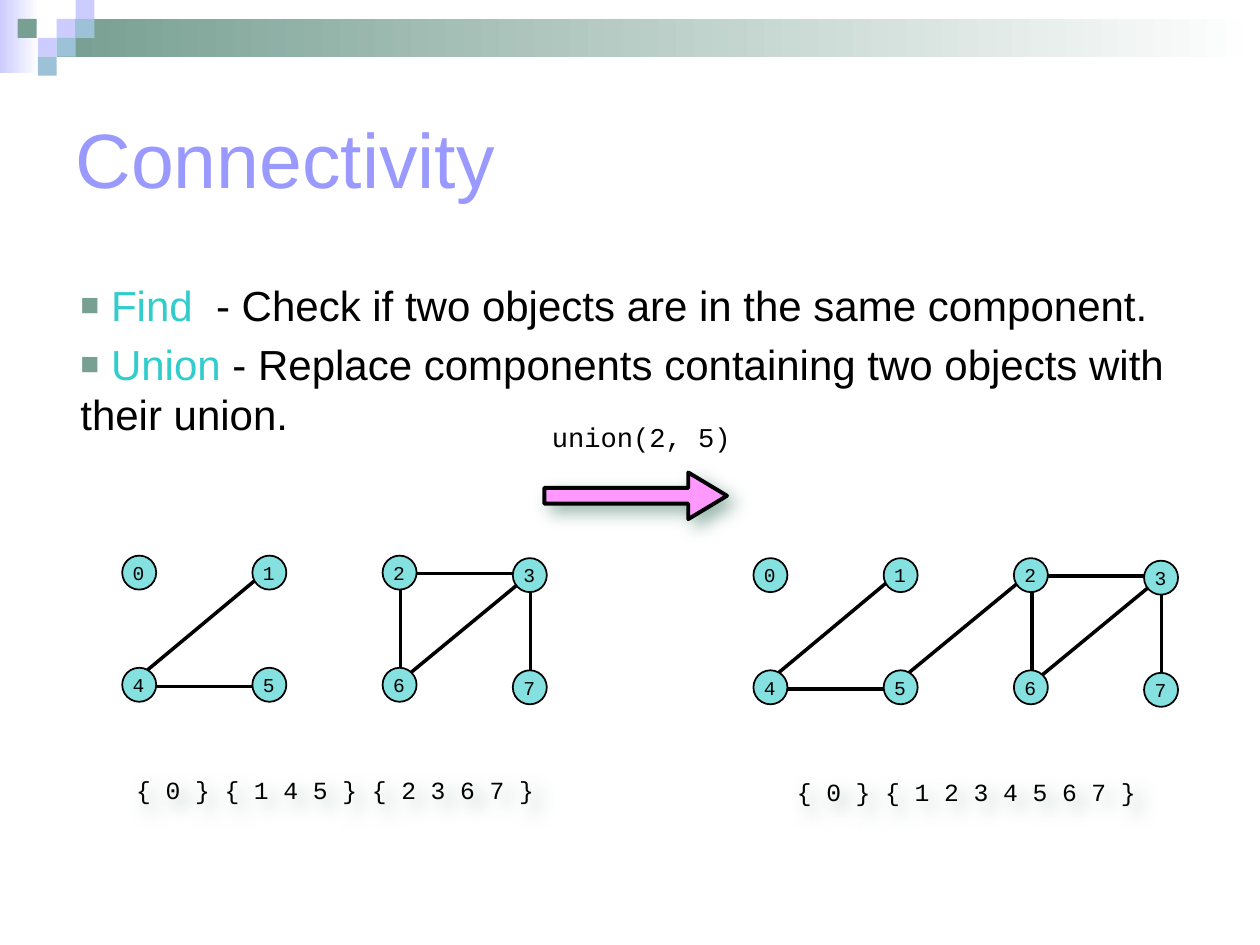
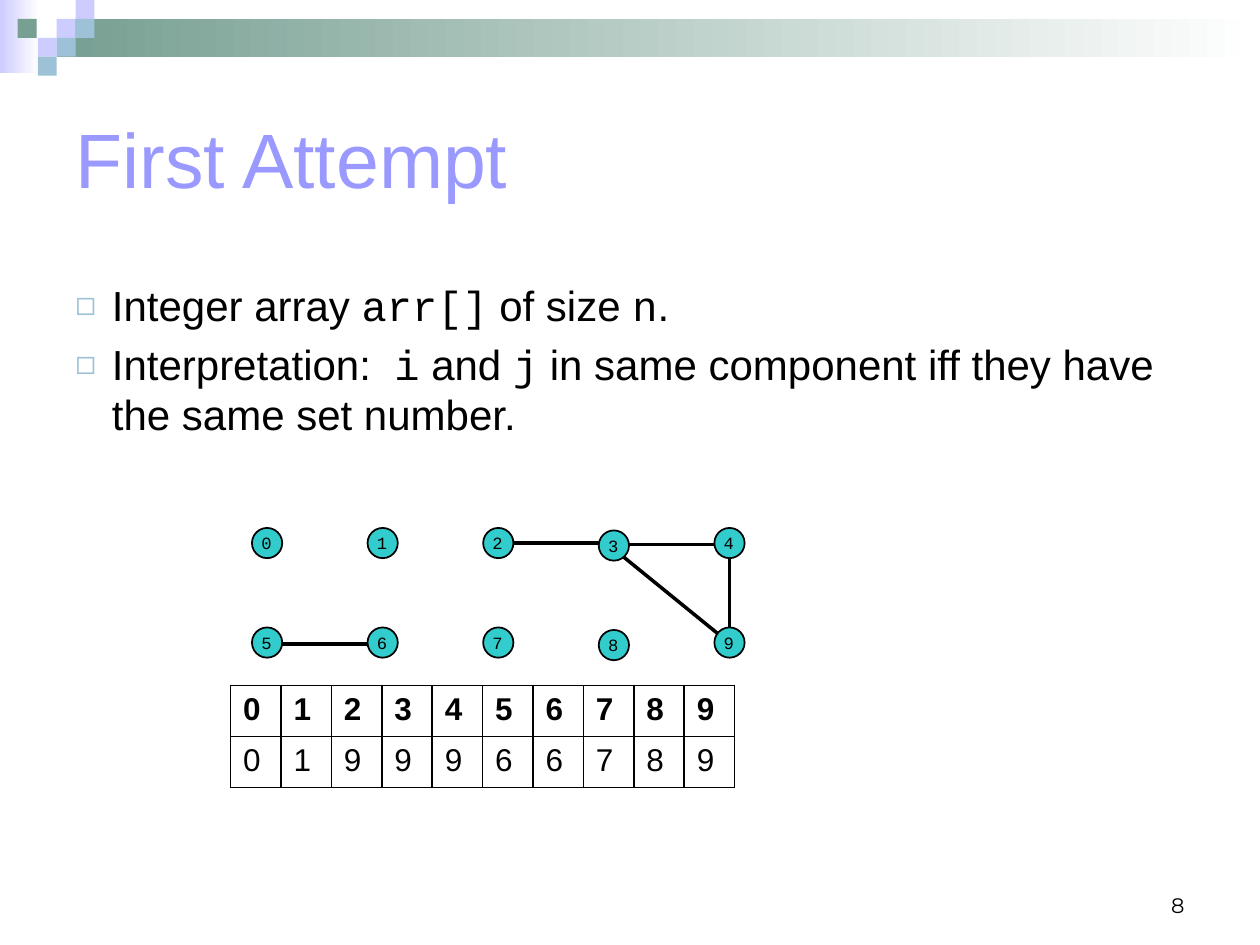
from dataclasses import dataclass
from typing import NamedTuple

from lxml.etree import SubElement
from pptx import Presentation
from pptx.dml.color import RGBColor
from pptx.enum.shapes import MSO_CONNECTOR, MSO_SHAPE
from pptx.enum.text import MSO_ANCHOR as Anchor, MSO_AUTO_SIZE, PP_ALIGN as Align
from pptx.oxml.ns import qn
from pptx.util import Inches, Pt

BLACK, WHITE = "000000", "FFFFFF"
LILAC, SAGE, SKY = "CCCCFF", "779F92", "9DC2D7"
TITLE_COLOR, TEAL, PALE_TEAL, PINK = "9999FF", "33CCCC", "85E0E0", "FF99FF"
SANS, MONO, NUMBER_FONT = "Arial", "Courier New", "Montserrat"


class Box(NamedTuple):
    left: float
    top: float
    width: float
    height: float


class Insets(NamedTuple):
    left: float = 0.1
    top: float = 0.05
    right: float = 0.1
    bottom: float = 0.05


class Piece(NamedTuple):
    text: str
    font: str = SANS
    color: str = BLACK


class Edge(NamedTuple):
    x1: float
    y1: float
    x2: float
    y2: float


@dataclass
class Bullet:
    char: str
    color: str
    percent: int
    margin: float
    indent: float


@dataclass
class Graph:
    left: float
    top: float
    columns: int
    span: float
    row_gap: float
    diameter: float
    fill: str
    text_size: float
    edges: list[Edge]


BAND = Box(0.45, 0.15, 9.55, 0.3)
CORNER = Box(0, 0, 0.31, 0.58)
SQUARES = [
    (0.45, 0.15, LILAC), (0.6, 0, LILAC), (0.6, 0.15, SKY),
    (0.3, 0.3, LILAC), (0.14, 0.15, SAGE), (0.45, 0.3, SKY), (0.3, 0.45, SKY),
]
TITLE_BOX = Box(0.5, 0.5, 9, 1.5)
BODY_BOX = Box(0.5, 2.17, 9, 4.25)
WIDE_INSETS = Insets(0.1, 0.05, 0.13, 0.05)
NO_INSETS = Insets(0, 0, 0.01, 0)
LOWERED_COLUMN, LOWERING = 3, 0.02

SEPARATE_EDGES = [
    Edge(3.24, 0.18, 3.24, 1.05), Edge(0.15, 0.95, 1.11, 0.15),
    Edge(3.1, 0.14, 2.15, 0.14), Edge(0.18, 1.04, 1.07, 1.04),
    Edge(2.21, 0.97, 2.21, 0.14), Edge(2.24, 0.97, 3.21, 0.17),
]
UNION_EDGE = Edge(1.22, 0.92, 2.18, 0.13)
SET_EDGES = [
    Edge(2.75, 0.12, 1.92, 0.12), Edge(0.16, 0.92, 0.95, 0.92),
    Edge(3.79, 0.86, 3.79, 0.12), Edge(3.72, 0.13, 2.88, 0.13),
    Edge(3.76, 0.89, 2.85, 0.15),
]


def rgb(value: str) -> RGBColor:
    return RGBColor.from_string(value)


def inches(box: Box) -> list:
    return [Inches(length) for length in box]


def format_run(run, size: float, font: str = SANS, color: str = BLACK, bold: bool = False) -> None:
    run.font.size = Pt(size)
    run.font.name = font
    run.font.color.rgb = rgb(color)
    run.font.bold = bold


def set_frame(frame, insets: Insets, anchor=Anchor.TOP, wrap: bool = True) -> None:
    frame.margin_left, frame.margin_top, frame.margin_right, frame.margin_bottom = (
        Inches(inset) for inset in insets)
    frame.vertical_anchor = anchor
    frame.word_wrap = wrap
    frame.auto_size = MSO_AUTO_SIZE.NONE


def add_solid(slide, preset, box: Box, fill: str, line_width: float = 0):
    shape = slide.shapes.add_shape(preset, *inches(box))
    shape.shadow.inherit = False
    shape.fill.solid()
    shape.fill.fore_color.rgb = rgb(fill)
    if line_width:
        shape.line.color.rgb = rgb(BLACK)
        shape.line.width = Pt(line_width)
    else:
        shape.line.fill.background()
    return shape


def add_fade(slide, box: Box, color: str) -> None:
    fade = add_solid(slide, MSO_SHAPE.RECTANGLE, box, color)
    fade.fill.gradient()
    fade.fill.gradient_angle = 0
    for stop, stop_color, position in zip(fade.fill.gradient_stops, (color, WHITE), (0, 1)):
        stop.color.rgb = rgb(stop_color)
        stop.position = position


def cast_shadow(shape) -> None:
    shape.shadow.inherit = False
    effects = shape._element.spPr.find(qn("a:effectLst"))
    shadow = SubElement(effects, qn("a:outerShdw"), blurRad=str(Pt(10)), dist=str(Pt(6)),
                        dir="2700000", algn="ctr", rotWithShape="0")
    color = SubElement(shadow, qn("a:srgbClr"), val=SAGE)
    SubElement(color, qn("a:alpha"), val="75000")


def add_label(slide, box: Box, text: str, size: float, font: str, insets: Insets,
              align=Align.LEFT, anchor=Anchor.TOP, wrap: bool = True):
    label = slide.shapes.add_textbox(*inches(box))
    set_frame(label.text_frame, insets, anchor, wrap)
    paragraph = label.text_frame.paragraphs[0]
    paragraph.text = text
    paragraph.alignment = align
    format_run(paragraph.runs[0], size, font)
    return label


def start_slide(deck, title_text: str, insets: Insets):
    slide = deck.slides.add_slide(deck.slide_layouts[5])
    add_fade(slide, CORNER, LILAC)
    add_fade(slide, BAND, SAGE)
    for left, top, color in SQUARES:
        add_solid(slide, MSO_SHAPE.RECTANGLE, Box(left, top, 0.15, 0.15), color)
    title = slide.shapes.title
    title.left, title.top, title.width, title.height = inches(TITLE_BOX)
    set_frame(title.text_frame, insets, Anchor.MIDDLE)
    paragraph = title.text_frame.paragraphs[0]
    paragraph.text = title_text
    paragraph.alignment = Align.LEFT
    format_run(paragraph.runs[0], 44, color=TITLE_COLOR)
    return slide


def set_bullet(paragraph, bullet: Bullet) -> None:
    properties = paragraph._p.get_or_add_pPr()
    properties.set("marL", str(Inches(bullet.margin)))
    properties.set("indent", str(Inches(bullet.indent)))
    color = SubElement(properties, qn("a:buClr"))
    SubElement(color, qn("a:srgbClr"), val=bullet.color)
    SubElement(properties, qn("a:buSzPct"), val=str(bullet.percent * 1000))
    SubElement(properties, qn("a:buFont"), typeface=SANS)
    SubElement(properties, qn("a:buChar"), char=bullet.char)


def add_points(slide, points: list[list[Piece]], bullet: Bullet, insets: Insets) -> None:
    frame = slide.shapes.add_textbox(*inches(BODY_BOX)).text_frame
    set_frame(frame, insets)
    for index, pieces in enumerate(points):
        paragraph = frame.add_paragraph() if index else frame.paragraphs[0]
        paragraph.space_before = Pt(4.8)
        set_bullet(paragraph, bullet)
        for piece in pieces:
            run = paragraph.add_run()
            run.text = piece.text
            format_run(run, 24, piece.font, piece.color)


def add_graph(slide, graph: Graph) -> None:
    for edge in graph.edges:
        line = slide.shapes.add_connector(
            MSO_CONNECTOR.STRAIGHT,
            Inches(graph.left + edge.x1), Inches(graph.top + edge.y1),
            Inches(graph.left + edge.x2), Inches(graph.top + edge.y2))
        line.line.color.rgb = rgb(BLACK)
        line.line.width = Pt(2)
        SubElement(line._element.spPr, qn("a:effectLst"))
    for number in range(2 * graph.columns):
        row, column = divmod(number, graph.columns)
        left = graph.left + column * graph.span / (graph.columns - 1)
        top = graph.top + row * graph.row_gap + (LOWERING if column == LOWERED_COLUMN else 0)
        node = add_solid(slide, MSO_SHAPE.OVAL,
                         Box(left, top, graph.diameter, graph.diameter), graph.fill, 1)
        set_frame(node.text_frame, NO_INSETS, Anchor.MIDDLE)
        paragraph = node.text_frame.paragraphs[0]
        paragraph.text = str(number)
        paragraph.alignment = Align.CENTER
        format_run(paragraph.runs[0], graph.text_size, MONO)


def add_sets(slide, left: float, top: float, text: str) -> None:
    sets = add_label(slide, Box(left, top, 3.89, 0.53), text, 14.1, MONO, NO_INSETS, Align.CENTER)
    sets.text_frame.paragraphs[0].line_spacing = 1.2
    cast_shadow(sets)


def border_cell(cell) -> None:
    properties = cell._tc.get_or_add_tcPr()
    for position, side in enumerate(("a:lnL", "a:lnR", "a:lnT", "a:lnB")):
        border = properties.makeelement(qn(side), {"w": str(Pt(1))})
        fill = SubElement(border, qn("a:solidFill"))
        SubElement(fill, qn("a:srgbClr"), val=BLACK)
        properties.insert(position, border)


def add_set_table(slide, rows: list[str]) -> None:
    table = slide.shapes.add_table(
        len(rows), len(rows[0]), *inches(Box(1.83, 5.44, 4, 0.81))).table
    table.first_row = table.horz_banding = False
    for row_index, digits in enumerate(rows):
        table.rows[row_index].height = Inches(0.81 / len(rows))
        for column, digit in enumerate(digits):
            cell = table.cell(row_index, column)
            cell.fill.background()
            cell.text_frame.text = digit
            format_run(cell.text_frame.paragraphs[0].runs[0], 18, bold=row_index == 0)
            border_cell(cell)


def build_connectivity(deck) -> None:
    slide = start_slide(deck, "Connectivity", WIDE_INSETS)
    add_points(slide, [
        [Piece(" Find ", color=TEAL),
         Piece(" - Check if two objects are in the same component.")],
        [Piece(" Union", color=TEAL),
         Piece(" - Replace components containing two objects with their union.")],
    ], Bullet("■", SAGE, 75, 0.04, 0), WIDE_INSETS)
    add_label(slide, Box(4.32, 3.34, 1.54, 0.26), "union(2, 5)", 15.5, MONO,
              Insets(0.06, 0, 0.05, 0), wrap=False)
    arrow = add_solid(slide, MSO_SHAPE.RIGHT_ARROW, Box(4.32, 3.75, 1.45, 0.37), PINK, 2.25)
    arrow.adjustments[0], arrow.adjustments[1] = 0.34, 0.83
    cast_shadow(arrow)
    add_graph(slide, Graph(0.97, 4.41, 4, 3.1, 0.89, 0.27, PALE_TEAL, 11.2, SEPARATE_EDGES))
    add_graph(slide, Graph(5.98, 4.43, 4, 3.1, 0.89, 0.27, PALE_TEAL, 11.2,
                           SEPARATE_EDGES + [UNION_EDGE]))
    add_sets(slide, 0.72, 6.1, "{ 0 } { 1 4 5 } { 2 3 6 7 }")
    add_sets(slide, 5.73, 6.12, "{ 0 } { 1 2 3 4 5 6 7 }")


def build_first_attempt(deck) -> None:
    slide = start_slide(deck, "First Attempt", Insets())
    add_points(slide, [
        [Piece("Integer array "), Piece("arr[]", MONO), Piece(" of size "),
         Piece("n", MONO), Piece(".")],
        [Piece("Interpretation:  "), Piece("i", MONO), Piece(" and "), Piece("j", MONO),
         Piece(" in same component iff they have the same set number.")],
    ], Bullet("◻", SKY, 80, 0.29, -0.31), Insets())
    add_label(slide, Box(7.17, 6.83, 2.33, 0.5), "8", 12, NUMBER_FONT, Insets(),
              Align.RIGHT, Anchor.BOTTOM)
    add_set_table(slide, ["0123456789", "0199966789"])
    add_graph(slide, Graph(2, 4.19, 5, 3.67, 0.79, 0.24, TEAL, 9.8, SET_EDGES))


def main() -> None:
    deck = Presentation()
    deck.slide_width, deck.slide_height = Inches(10), Inches(7.5)
    build_connectivity(deck)
    build_first_attempt(deck)
    deck.save("out.pptx")


if __name__ == "__main__":
    main()
